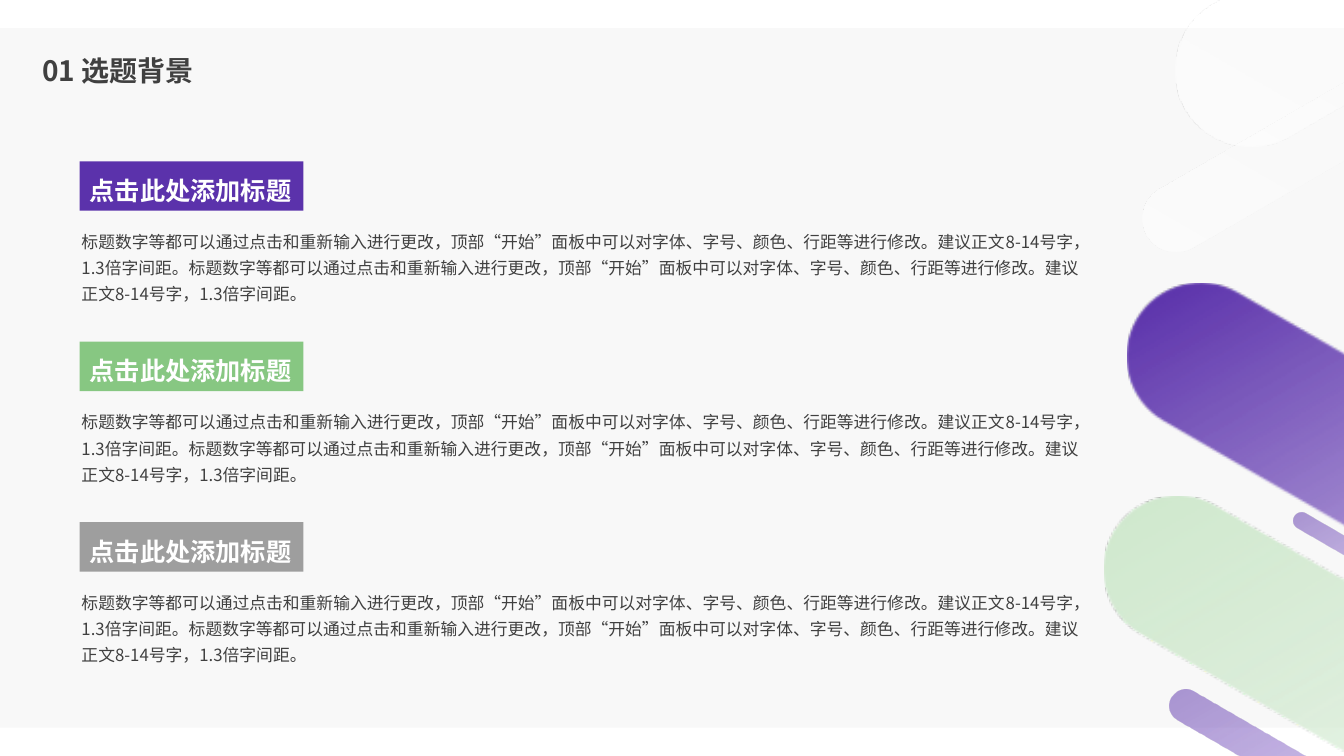
from math import cos, radians, sin

from lxml import etree
from pptx import Presentation
from pptx.dml.color import RGBColor
from pptx.enum.shapes import MSO_SHAPE
from pptx.enum.text import MSO_ANCHOR, MSO_AUTO_SIZE, PP_ALIGN
from pptx.oxml.ns import qn
from pptx.util import Inches, Pt

RECT = MSO_SHAPE.RECTANGLE
LEFT = PP_ALIGN.LEFT
TOP, MIDDLE = MSO_ANCHOR.TOP, MSO_ANCHOR.MIDDLE
GROW, FIXED = MSO_AUTO_SIZE.SHAPE_TO_FIT_TEXT, MSO_AUTO_SIZE.NONE

SANS = "Noto Sans CJK SC"
HEAD = "League Spartan"
INK, WHITE = "404040", "FFFFFF"
TITLE = "01 选题背景"
LABEL = "点击此处添加标题"
BODY = (
    "标题数字等都可以通过点击和重新输入进行更改，顶部“开始”面板中可以对"
    "字体、字号、颜色、行距等进行修改。建议正文8-14号字，1.3倍字间距。"
) * 2
TINTS = ["5B32AB", "87C782", "9E9E9E"]
FIRST, STEP = 1.6, 1.79
BEND = 0.55  # handle length of a quarter circle

# Gradient stops: position %, colour, opacity %
FADE = [(85, WHITE, 50), (100, WHITE, 50)]
DEEP = [(0, "5B32AB", 100), (23, "5F34B2", 40)] + FADE
PALE = [(0, "5B32AB", 50), (23, "5F34B2", 40)] + FADE
GREEN = [(0, "D0E9CE", 100), (22, "D0E9CE", 50)] + FADE
MIST = [(0, WHITE, 50), (21, WHITE, 29), (85, WHITE, 0), (100, WHITE, 0)]

# Bars: left, top, length and width before the tilt, tilt, stops
BARS = [
    (9.9, 7.58, 20.55, 1.47, 30, DEEP),
    (10.96, -2.65, 11.87, 1.51, -30, MIST),
    (11.02, 0.68, 5.27, 0.67, -30, MIST),
    (9.68, 9.7, 20.55, 1.47, 30, GREEN),
    (12.68, 5.65, 2.44, 0.17, 30, PALE),
    (11.31, 7.93, 4.69, 0.33, 30, PALE),
]


def color(code):
    """Turn a hex string into a colour."""
    return RGBColor.from_string(code)


def box(shapes, x, y, w, h, fill):
    """Add a plain filled rectangle."""
    shape = shapes.add_shape(RECT, Inches(x), Inches(y), Inches(w), Inches(h))
    shape.shadow.inherit = False
    shape.fill.solid()
    shape.fill.fore_color.rgb = color(fill)
    shape.line.fill.background()
    return shape


def field(shapes, x, y, w, h):
    """Add an empty text box."""
    return shapes.add_textbox(Inches(x), Inches(y), Inches(w), Inches(h))


def write(shape, text, size, font, ink, bold=False, space=1.3, wrap=True):
    """Write one left-aligned paragraph into a shape."""
    frame = shape.text_frame
    frame.word_wrap = wrap
    frame.auto_size = GROW
    frame.vertical_anchor = TOP
    para = frame.paragraphs[0]
    para.alignment = LEFT
    para.line_spacing = space
    run = para.add_run()
    run.text = text
    run.font.size = Pt(size)
    run.font.name = font
    run.font.bold = bold
    run.font.color.rgb = color(ink)
    east = etree.SubElement(run.font._element, qn("a:ea"))
    east.set("typeface", SANS)
    return frame


def blend(shape, stops, angle):
    """Fill a shape with a linear gradient that has opacity."""
    shape.fill.gradient()
    grad = shape._element.spPr.find(qn("a:gradFill"))
    for child in list(grad):
        grad.remove(child)
    group = etree.SubElement(grad, qn("a:gsLst"))
    for place, code, alpha in stops:
        stop = etree.SubElement(group, qn("a:gs"), pos=str(place * 1000))
        tone = etree.SubElement(stop, qn("a:srgbClr"), val=code)
        etree.SubElement(tone, qn("a:alpha"), val=str(alpha * 1000))
    turn = str(angle % 360 * 60000)
    etree.SubElement(grad, qn("a:lin"), ang=turn, scaled="0")


def curve(line, start, end, core):
    """Turn a line of an outline into a quarter circle around core."""
    near = [a + BEND * (b - c) for a, b, c in zip(start, end, core)]
    far = [b + BEND * (a - c) for a, b, c in zip(start, end, core)]
    line.tag = qn("a:cubicBezTo")
    for i, (x, y) in enumerate((near, far)):
        spot = etree.Element(qn("a:pt"), x=str(round(x)), y=str(round(y)))
        line.insert(i, spot)


def bar(shapes, x, y, w, h, tilt, stops):
    """Add a tilted bar with a round left end and a flat right end."""
    rad, half = h / 2, w / 2
    neck = rad - half
    edge = [(neck, rad), (half, rad), (half, -rad)]
    edge += [(neck, -rad), (-half, 0), (neck, rad)]
    c, s = cos(radians(tilt)), sin(radians(tilt))
    spots = [
        (Inches(x + half + u * c - v * s), Inches(y + rad + u * s + v * c))
        for u, v in edge
    ]
    path = shapes.build_freeform(*spots[0])
    path.add_line_segments(spots[1:], close=True)
    shape = path.convert_to_shape()
    shape.shadow.inherit = False
    shape.line.fill.background()
    lines = list(shape._element.iter(qn("a:lnTo")))[2:5]
    ends = [(int(line[0].get("x")), int(line[0].get("y"))) for line in lines]
    core = [(a + b) / 2 for a, b in zip(ends[0], ends[2])]
    for i in (1, 2):
        curve(lines[i], ends[i - 1], ends[i], core)
    blend(shape, stops, 2 * tilt)


def block(shapes, y, tint):
    """Add a group of a coloured label and its body text."""
    group = shapes.add_group_shape().shapes
    body = field(group, 0.71, y + 0.59, 10.19, 0.89)
    write(body, BODY, 12, SANS, INK)
    label = box(group, 0.79, y, 2.22, 0.49, tint)
    write(label, LABEL, 18, HEAD, WHITE, bold=True, wrap=False)


def main():
    """Build the slide and save it."""
    deck = Presentation()
    deck.slide_width, deck.slide_height = Inches(13.33), Inches(7.5)
    shapes = deck.slides.add_slide(deck.slide_layouts[6]).shapes
    box(shapes, 0, 0.28, 13.33, 6.94, "F8F8F8")
    for item in BARS:
        bar(shapes, *item)
    title = field(shapes, 0.32, 0.43, 4.99, 0.58)
    frame = write(title, TITLE, 20, SANS, INK, bold=True, space=0.9)
    frame.auto_size = FIXED
    frame.vertical_anchor = MIDDLE
    frame.paragraphs[0].space_before = Pt(10)
    for i, tint in enumerate(TINTS):
        block(shapes, FIRST + i * STEP, tint)
    deck.save("out.pptx")


main()
